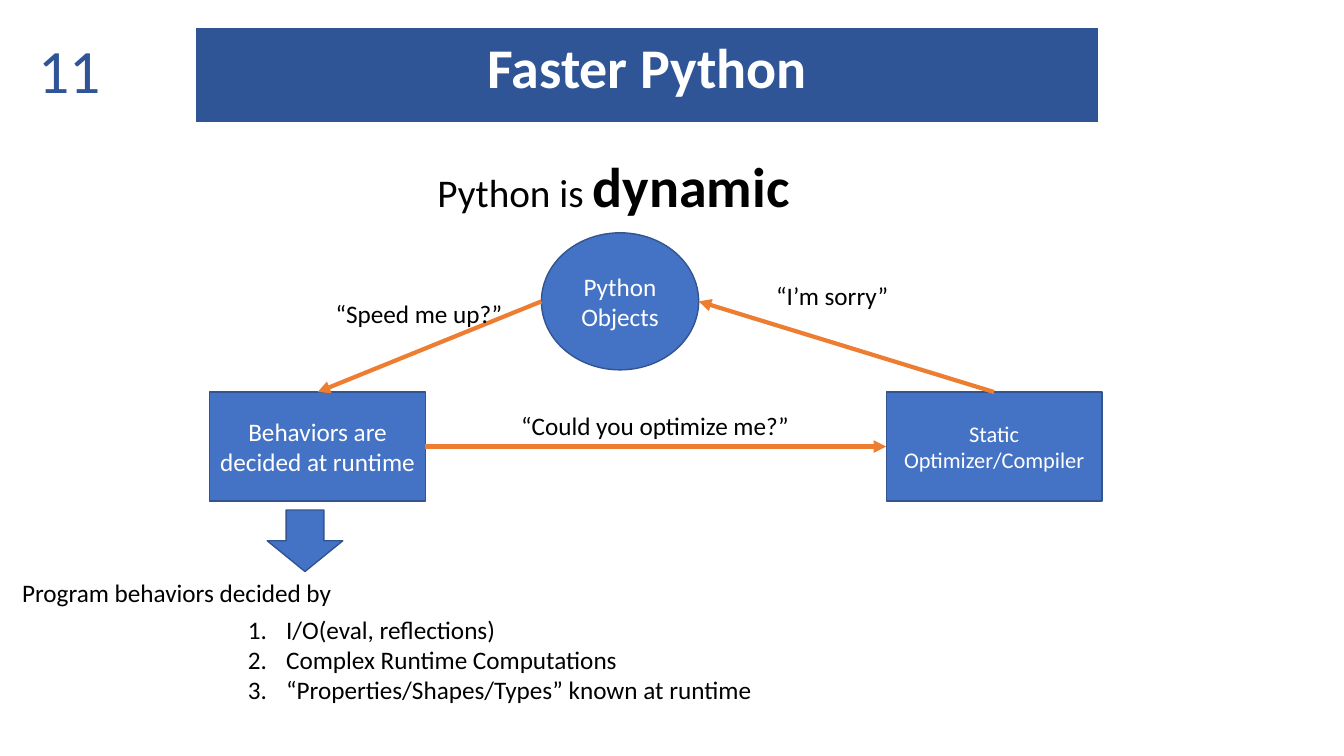
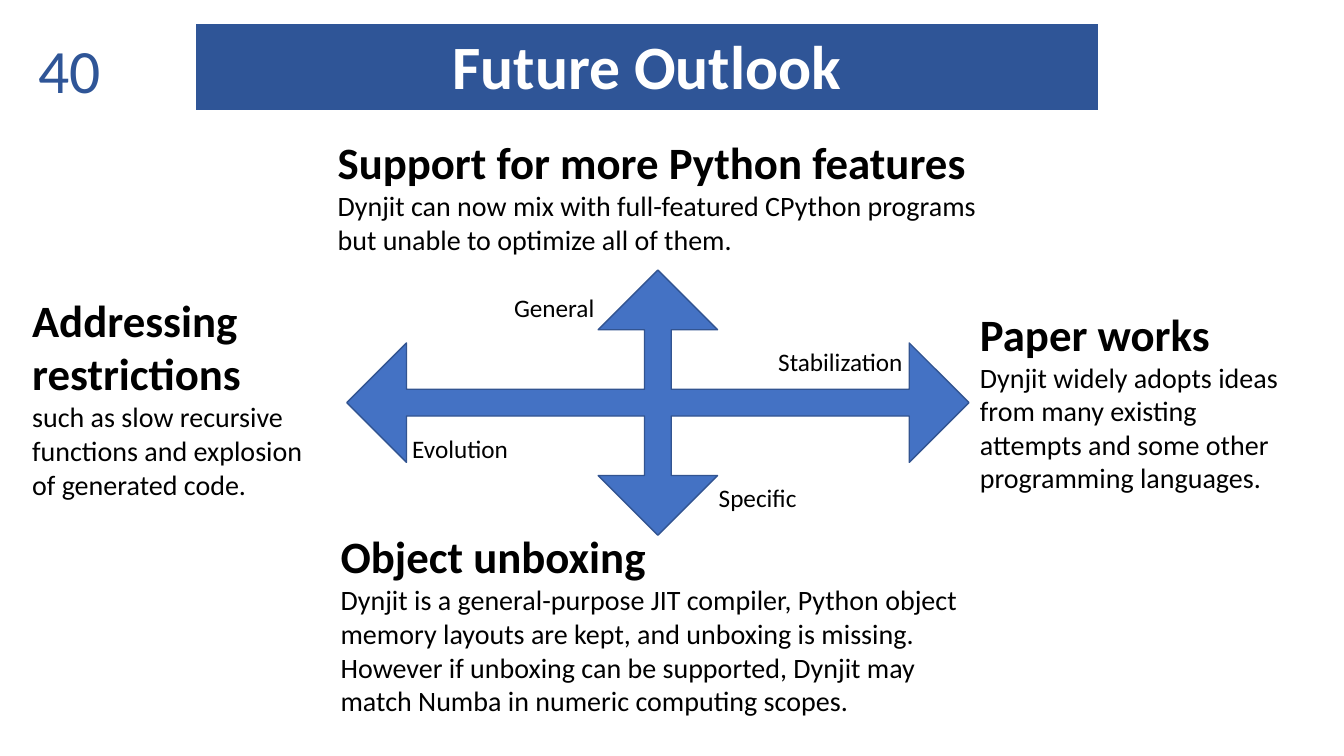
from dataclasses import dataclass

from lxml import etree
from pptx import Presentation
from pptx.dml.color import RGBColor
from pptx.enum import shapes, text
from pptx.oxml import ns
from pptx.util import Inches, Pt


@dataclass(frozen=True)
class Theme:
    font: str = "Calibri"
    band: str = "2F5597"
    fill: str = "4472C4"
    outline: str = "325491"
    arrow: str = "ED7D31"
    ink: str = "000000"
    paper: str = "FFFFFF"
    small: int = 16
    label: int = 18
    body: int = 20
    lead: int = 28
    heading: int = 32
    title: int = 40
    display: int = 44


THEME = Theme()
SHAPE = shapes.MSO_SHAPE
ALIGN = text.PP_ALIGN
ANCHOR = text.MSO_ANCHOR


# Helpers
def rgb(value):
    return RGBColor.from_string(value)


def inches(*lengths):
    return [Inches(length) for length in lengths]


def add_xml(parent, tag, **attributes):
    return etree.SubElement(parent, ns.qn(tag), **attributes)


def write(frame, *paragraphs, size=THEME.label, color=THEME.ink, bold=False,
          align=ALIGN.LEFT, anchor=ANCHOR.TOP, numbered=False):
    """Fill a frame; a paragraph is a string or a list of (text, size, bold) runs."""
    frame.word_wrap = True
    frame.auto_size = text.MSO_AUTO_SIZE.NONE
    frame.vertical_anchor = anchor
    for index, content in enumerate(paragraphs):
        paragraph = frame.paragraphs[0] if index == 0 else frame.add_paragraph()
        paragraph.alignment = align
        if numbered:
            properties = paragraph._p.get_or_add_pPr()
            properties.set("marL", str(Inches(0.38)))
            properties.set("indent", str(-Inches(0.38)))
            add_xml(properties, "a:buFont", typeface="+mj-lt")
            add_xml(properties, "a:buAutoNum", type="arabicPeriod")
        runs = [(content, size, bold)] if isinstance(content, str) else content
        for words, run_size, run_bold in runs:
            run = paragraph.add_run()
            run.text = words
            run.font.name = THEME.font
            run.font.size = Pt(run_size)
            run.font.bold = run_bold
            run.font.color.rgb = rgb(color)


def paint(shape, fill, outline):
    shape.fill.solid()
    shape.fill.fore_color.rgb = rgb(fill)
    shape.line.color.rgb = rgb(outline)
    shape.line.width = Pt(1)
    shape.shadow.inherit = False


# Kinds of element
def add_text(slide, box, *paragraphs, **style):
    write(slide.shapes.add_textbox(*inches(*box)).text_frame, *paragraphs, **style)


def add_block(slide, preset, box, *paragraphs, size=THEME.label):
    block = slide.shapes.add_shape(preset, *inches(*box))
    paint(block, THEME.fill, THEME.outline)
    write(block.text_frame, *paragraphs, size=size, color=THEME.paper,
          align=ALIGN.CENTER, anchor=ANCHOR.MIDDLE)
    return block


def add_arrow(slide, start, end):
    """Draw an arrow; an end is an (x, y) point or a (rectangle, side) pair."""
    arrow = slide.shapes.add_connector(shapes.MSO_CONNECTOR.STRAIGHT, 0, 0, 0, 0)
    arrow.begin_x, arrow.begin_y = start if isinstance(start[0], int) else (0, 0)
    arrow.end_x, arrow.end_y = end if isinstance(end[0], int) else (0, 0)
    if not isinstance(start[0], int):
        arrow.begin_connect(*start)
    if not isinstance(end[0], int):
        arrow.end_connect(*end)
    arrow.line.color.rgb = rgb(THEME.arrow)
    arrow.line.width = Pt(3)
    add_xml(arrow.line._get_or_add_ln(), "a:tailEnd", type="triangle")
    add_xml(arrow._element.spPr, "a:effectLst")


def add_topic(slide, box, heading, *body):
    add_text(slide, box, [(heading, THEME.heading, True)], *body, size=THEME.body)


def add_page(deck, title, number, top, height, size):
    """Start a slide with its rounded title band and page number."""
    slide = deck.slides.add_slide(deck.slide_layouts[5])
    band = slide.shapes.title
    band.left, band.top, band.width, band.height = inches(1.94, top, 8.96, height)
    geometry = add_xml(band._element.spPr, "a:prstGeom", prst="roundRect")
    add_xml(add_xml(geometry, "a:avLst"), "a:gd", name="adj", fmla="val 10000")
    paint(band, THEME.band, THEME.paper)
    write(band.text_frame, title, size=size, color=THEME.paper, bold=True,
          align=ALIGN.CENTER)
    add_text(slide, (0, 0.48, 1.1, 0.4), number, size=THEME.display,
             color=THEME.band, align=ALIGN.RIGHT, anchor=ANCHOR.MIDDLE)
    return slide


# Slides
def build_faster_python(deck):
    slide = add_page(deck, "Faster Python", "11", 0.27, 0.95, THEME.title)
    add_text(slide, (4.24, 1.45, 8.5, 0.77),
             [("Python is ", THEME.lead, False), ("dynamic", THEME.title, True)])

    # Cycle between objects, runtime and compiler
    runtime = add_block(slide, SHAPE.RECTANGLE, (2.08, 3.89, 2.14, 1.08),
                        "Behaviors are decided at runtime")
    compiler = add_block(slide, SHAPE.RECTANGLE, (8.79, 3.89, 2.14, 1.08),
                         "Static Optimizer/Compiler", size=THEME.small)
    objects = add_block(slide, SHAPE.OVAL, (5.37, 2.31, 1.56, 1.36),
                        "Python", "Objects")
    middle = objects.top + objects.height // 2
    add_arrow(slide, (objects.left, middle), (runtime, 0))
    add_arrow(slide, (runtime, 3), (compiler, 1))
    add_arrow(slide, (compiler, 0), (objects.left + objects.width, middle))
    for left, top, width, quote in (
            (3.23, 2.91, 2.14, "“Speed me up?”"),
            (5.07, 4.02, 3.39, "“Could you optimize me?”"),
            (7.6, 2.73, 3.39, "“I’m sorry”")):
        add_text(slide, (left, top, width, 0.4), quote)

    # What decides the behaviors
    add_block(slide, SHAPE.DOWN_ARROW, (2.65, 5.06, 0.75, 0.61))
    add_text(slide, (0.12, 5.68, 7.91, 0.4), "Program behaviors decided by")
    add_text(slide, (2.36, 6.04, 5.5, 1.01),
             "I/O(eval, reflections)",
             "Complex Runtime Computations",
             "“Properties/Shapes/Types” known at runtime", numbered=True)


def build_future_outlook(deck):
    slide = add_page(deck, "Future Outlook", "40", 0.23, 0.87, THEME.display)

    # Compass of directions
    compass = add_block(slide, SHAPE.QUAD_ARROW, (3.44, 2.68, 6.17, 2.63))
    for index, share in enumerate((0.101, 0.225, 0.225)):
        compass.adjustments[index] = share
    for left, top, width, direction in (
            (5, 2.85, 1.01, "General"),
            (7.03, 4.74, 1.01, "Specific"),
            (7.62, 3.39, 3.09, "Stabilization"),
            (3.99, 4.25, 1.39, "Evolution")):
        add_text(slide, (left, top, width, 0.4), direction)

    # Topic at each tip
    add_topic(slide, (3.25, 1.29, 6.62, 1.31), "Support for more Python features",
              "Dynjit can now mix with full-featured CPython programs "
              "but unable to optimize all of them.")
    add_topic(slide, (3.28, 5.2, 6.51, 1.99), "Object unboxing",
              "Dynjit is a general-purpose JIT compiler, Python object memory "
              "layouts are kept, and unboxing is missing. However if unboxing can "
              "be supported, Dynjit may match Numba in numeric computing scopes.")
    add_topic(slide, (0.22, 2.85, 3.05, 2.19), "Addressing restrictions",
              "such as slow recursive", "functions and explosion",
              "of generated code.")
    add_topic(slide, (9.62, 2.99, 3.19, 1.99), "Paper works",
              "Dynjit widely adopts ideas from many existing attempts and some "
              "other programming languages.")


def main():
    deck = Presentation()
    deck.slide_width, deck.slide_height = inches(13.33, 7.5)
    build_faster_python(deck)
    build_future_outlook(deck)
    deck.save("out.pptx")


if __name__ == "__main__":
    main()
